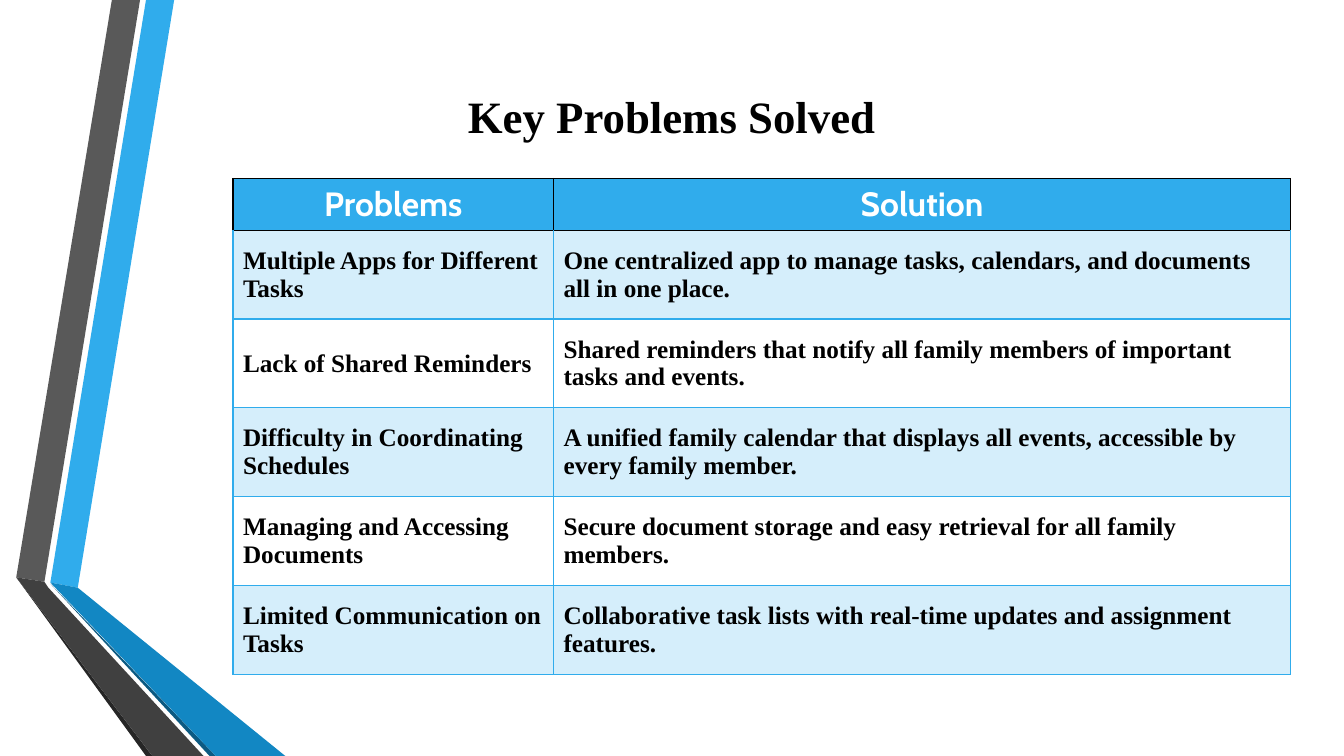
from lxml.etree import SubElement
from pptx import Presentation
from pptx.dml.color import RGBColor
from pptx.enum.text import MSO_ANCHOR as ANCHOR, PP_ALIGN as ALIGN
from pptx.oxml import parse_xml
from pptx.oxml.ns import nsdecls, qn
from pptx.util import Cm, Pt

WIDTH, HEIGHT = 33.87, 19.05
BLUE, BLACK, WHITE = "30ACEC", "000000", "FFFFFF"
SERIF = "Times New Roman"

TITLE_FORMAT = {"name": SERIF, "size": Pt(32), "bold": True}
HEAD_FORMAT = {"name": "Cabin", "size": Pt(24), "bold": True}
BODY_FORMAT = {"name": SERIF, "size": Pt(18), "bold": True}

# Fill and corner points in cm, from back to front
RIBBONS = [
    (BLUE, [(1.27, 14.68), (1.96, 14.81), (4.39, 0), (3.68, 0)]),
    ("595959", [(3.53, 0), (2.82, 0), (0.41, 14.55), (1.12, 14.66)]),
    ("262626", [(0.41, 14.55), (3.68, HEIGHT), (3.84, HEIGHT)]),
    ("0C5A82", [(1.27, 14.71), (5.28, HEIGHT), (5.44, HEIGHT)]),
    ("1287C3", [(1.27, 14.68), (5.44, HEIGHT), (7.19, HEIGHT), (1.96, 14.81)]),
    ("404040", [(5.13, HEIGHT), (1.22, 14.81), (1.12, 14.66), (0.41, 14.55),
                (3.84, HEIGHT)]),
]

HEADINGS = ("Problems", "Solution")
PROBLEMS = [
    ("Multiple Apps for Different Tasks",
     "One centralized app to manage tasks, calendars, and documents all in one place."),
    ("Lack of Shared Reminders",
     "Shared reminders that notify all family members of important tasks and events."),
    ("Difficulty in Coordinating Schedules",
     "A unified family calendar that displays all events, accessible by every family member."),
    ("Managing and Accessing Documents",
     "Secure document storage and easy retrieval for all family members."),
    ("Limited Communication on Tasks",
     "Collaborative task lists with real-time updates and assignment features."),
]


def rgb(color):
    return RGBColor.from_string(color)


def write(tf, text, fmt, color, align):
    p = tf.paragraphs[0]
    p.alignment = align
    r = p.add_run()
    r.text = text
    for name, value in fmt.items():
        setattr(r.font, name, value)
    r.font.color.rgb = rgb(color)


def fill_cell(cell, color, alpha=100):
    """Fill with a colour at alpha percent opacity, or not at all if None."""
    if color is None:
        cell.fill.background()
        return
    cell.fill.solid()
    cell.fill.fore_color.rgb = rgb(color)
    if alpha < 100:
        srgb = cell._tc.tcPr.find(".//" + qn("a:srgbClr"))
        SubElement(srgb, qn("a:alpha"), val=str(alpha * 1000))


def border_cell(cell, **colors):
    """Draw 1 pt sides; L, R, T and B give the colour of each."""
    for i, side in enumerate("LRTB"):
        cell._tc.tcPr.insert(i, parse_xml(
            f'<a:ln{side} {nsdecls("a")} w="12700"><a:solidFill>'
            f'<a:srgbClr val="{colors[side]}"/></a:solidFill></a:ln{side}>'))


def add_ribbons(slide, left, top):
    for color, points in RIBBONS:
        corners = [(Cm(left + x), Cm(top + y)) for x, y in points]
        builder = slide.shapes.build_freeform(*corners[0], scale=1.0)
        builder.add_line_segments(corners[1:], close=True)
        sp = builder.convert_to_shape()
        sp.shadow.inherit = False
        sp.fill.solid()
        sp.fill.fore_color.rgb = rgb(color)
        sp.line.fill.background()


def add_title(slide, left, top, width, height):
    sp = slide.shapes.title
    box = {"left": left, "top": top, "width": width, "height": height}
    for name, value in box.items():
        setattr(sp, name, Cm(value))
    tf = sp.text_frame
    tf.word_wrap = True
    tf.vertical_anchor = ANCHOR.MIDDLE
    write(tf, "Key Problems Solved", TITLE_FORMAT, BLACK, ALIGN.CENTER)


def add_problem_table(slide, left, top, width, height):
    problem_width, head_height = 8.08, 1.3
    table = slide.shapes.add_table(len(PROBLEMS) + 1, len(HEADINGS), Cm(left),
                                   Cm(top), Cm(width), Cm(height)).table
    table.horz_banding = False
    table.columns[0].width = Cm(problem_width)
    table.columns[1].width = Cm(width - problem_width)
    body_height = (height - head_height) / len(PROBLEMS)
    for i, texts in enumerate([HEADINGS, *PROBLEMS]):
        head = i == 0
        table.rows[i].height = Cm(head_height if head else body_height)
        for j, text in enumerate(texts):
            cell = table.cell(i, j)
            if head:
                write(cell.text_frame, text, HEAD_FORMAT, WHITE, ALIGN.CENTER)
                fill_cell(cell, BLUE)
            else:
                cell.vertical_anchor = ANCHOR.MIDDLE
                write(cell.text_frame, text, BODY_FORMAT, BLACK, ALIGN.LEFT)
                fill_cell(cell, BLUE if i % 2 else None, alpha=20)
            side = BLACK if head else BLUE
            border_cell(cell, L=side, R=side, T=BLACK if i < 2 else BLUE, B=side)


def main():
    prs = Presentation()
    prs.slide_width, prs.slide_height = Cm(WIDTH), Cm(HEIGHT)
    slide = prs.slides.add_slide(prs.slide_layouts[5])
    add_ribbons(slide, 0, 0)
    add_title(slide, 8.66, 2.11, 16.54, 1.63)
    add_problem_table(slide, 5.87, 4.5, 26.65, 12.5)
    prs.save("out.pptx")


if __name__ == "__main__":
    main()
